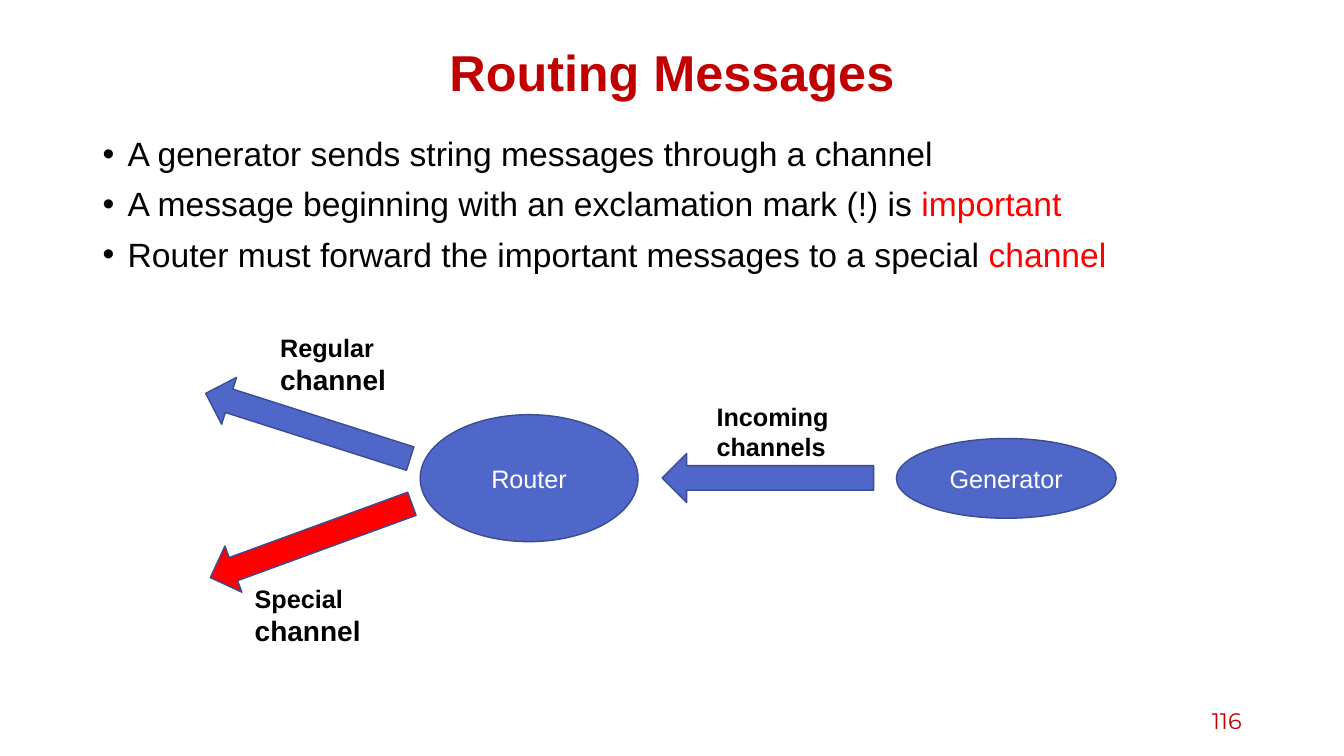
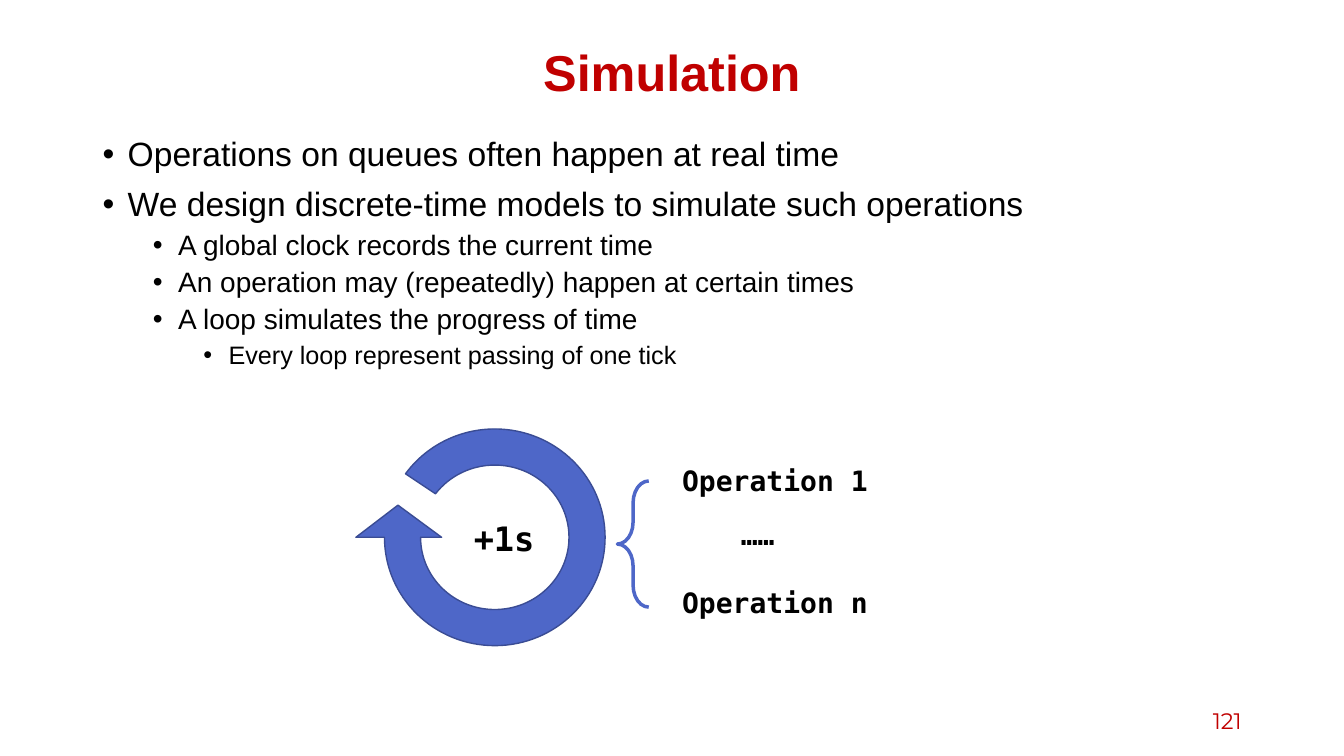
"""Build two lecture slides on message routing and discrete-time simulation."""
import math
from dataclasses import dataclass
from itertools import pairwise
from typing import NamedTuple

from lxml import etree
from pptx import Presentation
from pptx import util as u
from pptx.dml.color import RGBColor
from pptx.enum import shapes, text
from pptx.oxml import ns

COLORS = {
    "title": "C00000",
    "text": "000000",
    "accent": "FF0000",
    "fill": "4E67C8",
    "outline": "3A4C94",
    "light": "FFFFFF",
}
SANS, MONO, NUMBER = "Arial", "DejaVu Sans Mono", "Montserrat"
BODY_SIZES = (24, 20, 18)
BODY_SPACING = (10, 5, 5)

Point = tuple[float, float]


class Box(NamedTuple):
    left: float
    top: float
    width: float
    height: float

    def lengths(self) -> list[u.Length]:
        return [u.Cm(v) for v in self]


TITLE_BOX = Box(2.33, 1, 29.21, 1.78)
BODY_BOX = Box(2.33, 3.34, 29.21, 14)
NUMBER_BOX = Box(23.92, 17.65, 7.62, 1.02)


@dataclass
class Bullet:
    text: str
    accent: str = ""
    level: int = 0


@dataclass
class Label:
    box: Box
    first: str
    second: str = ""
    size: int = 18
    font: str = SANS


@dataclass
class Arrow:
    box: Box
    rotation: float
    color: str = "fill"


@dataclass
class Node:
    box: Box
    text: str


def add_run(p, content: str, *, size: int, font: str = SANS,
            color: str = "text", bold: bool = False) -> None:
    r = p.add_run()
    r.text = content
    r.font.size, r.font.name, r.font.bold = u.Pt(size), font, bold
    r.font.color.rgb = RGBColor.from_string(COLORS[color])


def place(sp, box: Box) -> None:
    sp.left, sp.top, sp.width, sp.height = box.lengths()


def paint(sp, fill: str | None = "fill", line: str = "outline", width: float = 1) -> None:
    sp.shadow.inherit = False
    if fill:
        sp.fill.solid()
        sp.fill.fore_color.rgb = RGBColor.from_string(COLORS[fill])
    else:
        sp.fill.background()
    sp.line.color.rgb = RGBColor.from_string(COLORS[line])
    sp.line.width = u.Pt(width)


def add_bullet(p, bullet: Bullet) -> None:
    p.level = bullet.level
    p.line_spacing = 0.9
    p.space_before = u.Pt(BODY_SPACING[bullet.level])
    p.space_after = u.Pt(0)
    pPr = p._p.get_or_add_pPr()
    pPr.set("marL", str(u.Cm(0.635 + 1.27 * bullet.level)))
    pPr.set("indent", str(u.Cm(-0.635)))
    etree.SubElement(pPr, ns.qn("a:buFont")).set("typeface", SANS)
    etree.SubElement(pPr, ns.qn("a:buChar")).set("char", "•")
    size = BODY_SIZES[bullet.level]
    add_run(p, bullet.text, size=size)
    if bullet.accent:
        add_run(p, bullet.accent, size=size, color="accent")


def add_textbox(s, box: Box):
    tf = s.shapes.add_textbox(*box.lengths()).text_frame
    tf.word_wrap = True
    return tf


def add_slide(prs, title: str, bullets: list[Bullet], number: int):
    s = prs.slides.add_slide(prs.slide_layouts[1])
    place(s.shapes.title, TITLE_BOX)
    tf = s.shapes.title.text_frame
    tf.auto_size = text.MSO_AUTO_SIZE.NONE
    tf.vertical_anchor = text.MSO_ANCHOR.MIDDLE
    p = tf.paragraphs[0]
    p.alignment, p.line_spacing = text.PP_ALIGN.CENTER, 0.9
    add_run(p, title, size=36, color="title", bold=True)

    body = s.placeholders[1]
    place(body, BODY_BOX)
    tf = body.text_frame
    tf.auto_size = text.MSO_AUTO_SIZE.NONE
    for i, bullet in enumerate(bullets):
        add_bullet(tf.add_paragraph() if i else tf.paragraphs[0], bullet)

    tf = add_textbox(s, NUMBER_BOX)
    tf.vertical_anchor = text.MSO_ANCHOR.MIDDLE
    p = tf.paragraphs[0]
    p.alignment = text.PP_ALIGN.RIGHT
    add_run(p, str(number), size=16, font=NUMBER, color="title")
    return s


def add_label(s, label: Label) -> None:
    tf = add_textbox(s, label.box)
    tf.auto_size = text.MSO_AUTO_SIZE.SHAPE_TO_FIT_TEXT
    p = tf.paragraphs[0]
    add_run(p, label.first, size=label.size, font=label.font, bold=True)
    if label.second:
        add_run(p, label.second, size=20, font=label.font, bold=True)


def add_arrow(s, arrow: Arrow) -> None:
    sp = s.shapes.add_shape(shapes.MSO_SHAPE.DOWN_ARROW, *arrow.box.lengths())
    sp.rotation = arrow.rotation
    paint(sp, arrow.color)


def add_node(s, node: Node) -> None:
    sp = s.shapes.add_shape(shapes.MSO_SHAPE.OVAL, *node.box.lengths())
    paint(sp)
    p = sp.text_frame.paragraphs[0]
    p.alignment = text.PP_ALIGN.CENTER
    add_run(p, node.text, size=18, color="light")


def arc_curves(rx: float, ry: float, angles: list[int]) -> list[list[Point]]:
    def at(a: float, k: float = 0) -> Point:
        return (12.47 + rx * (math.cos(a) - k * math.sin(a)),
                13.54 + ry * (math.sin(a) + k * math.cos(a)))

    curves = []
    for a, b in pairwise(math.radians(angle) for angle in angles):
        k = 4 / 3 * math.tan((b - a) / 4)
        curves.append([at(a, k), at(b, -k), at(b)])
    return curves


def add_loop_arrow(s) -> None:
    head = [[(8.97, 13.54)], [(10.03, 12.73)], [(11.13, 13.54)], [(10.6, 13.54)]]
    segments = (arc_curves(2.78, 2.73, [216, 270, 360, 450, 540]) + head
                + arc_curves(1.87, 1.82, [540, 450, 360, 270, 217]))
    fb = s.shapes.build_freeform(u.Cm(10.22), u.Cm(11.94))
    fb.add_line_segments([(u.Cm(x), u.Cm(y)) for seg in segments for x, y in seg])
    sp = fb.convert_to_shape()
    lines = iter(list(sp._element.iter(ns.qn("a:lnTo"))))
    for seg in segments:
        steps = [next(lines) for _ in seg]
        if len(steps) == 3:
            curve = etree.Element(ns.qn("a:cubicBezTo"))
            steps[0].addprevious(curve)
            for step in steps:
                curve.append(step[0])
                step.getparent().remove(step)
    paint(sp)


def build_routing(prs) -> None:
    s = add_slide(prs, "Routing Messages", [
        Bullet("A generator sends string messages through a channel"),
        Bullet("A message beginning with an exclamation mark (!) is ", "important"),
        Bullet("Router must forward the important messages to a special ", "channel"),
    ], 116)
    for node in (Node(Box(10.59, 10.45, 5.49, 3.2), "Router"),
                 Node(Box(22.59, 11.05, 5.54, 2.01), "Generator")):
        add_node(s, node)
    for arrow in (Arrow(Box(18.73, 9.38, 1.24, 5.33), 90),
                  Arrow(Box(7.14, 8.03, 1.24, 5.41), 107.7),
                  Arrow(Box(7.22, 10.92, 1.24, 5.41), 69.9, "accent")):
        add_arrow(s, arrow)
    for label in (Label(Box(17.81, 9.98, 4.27, 1.8), "Incoming channels"),
                  Label(Box(6.17, 14.5, 4.27, 1.96), "Special", " channel"),
                  Label(Box(6.81, 8.17, 4.27, 1.96), "Regular", " channel")):
        add_label(s, label)


def build_simulation(prs) -> None:
    s = add_slide(prs, "Simulation", [
        Bullet("Operations on queues often happen at real time"),
        Bullet("We design discrete-time models to simulate such operations"),
        Bullet("A global clock records the current time", level=1),
        Bullet("An operation may (repeatedly) happen at certain times", level=1),
        Bullet("A loop simulates the progress of time", level=1),
        Bullet("Every loop represent passing of one tick", level=2),
    ], 121)
    add_loop_arrow(s)
    for label in (Label(Box(11.69, 12.93, 2.11, 1.27), "+1s", size=24, font=MONO),
                  Label(Box(16.94, 11.56, 5.61, 1.12), "Operation 1", size=20, font=MONO),
                  Label(Box(18.42, 12.92, 2.82, 1.12), "……", size=20, font=MONO),
                  Label(Box(16.94, 14.63, 5.61, 1.12), "Operation n", size=20, font=MONO)):
        add_label(s, label)
    brace = s.shapes.add_shape(shapes.MSO_SHAPE.LEFT_BRACE,
                               *Box(15.56, 12.12, 0.79, 3.18).lengths())
    brace.adjustments[0] = 0.7
    paint(brace, None, "fill", 2.5)


def main() -> None:
    prs = Presentation()
    prs.slide_width, prs.slide_height = u.Cm(33.87), u.Cm(19.05)
    build_routing(prs)
    build_simulation(prs)
    prs.save("out.pptx")


if __name__ == "__main__":
    main()
